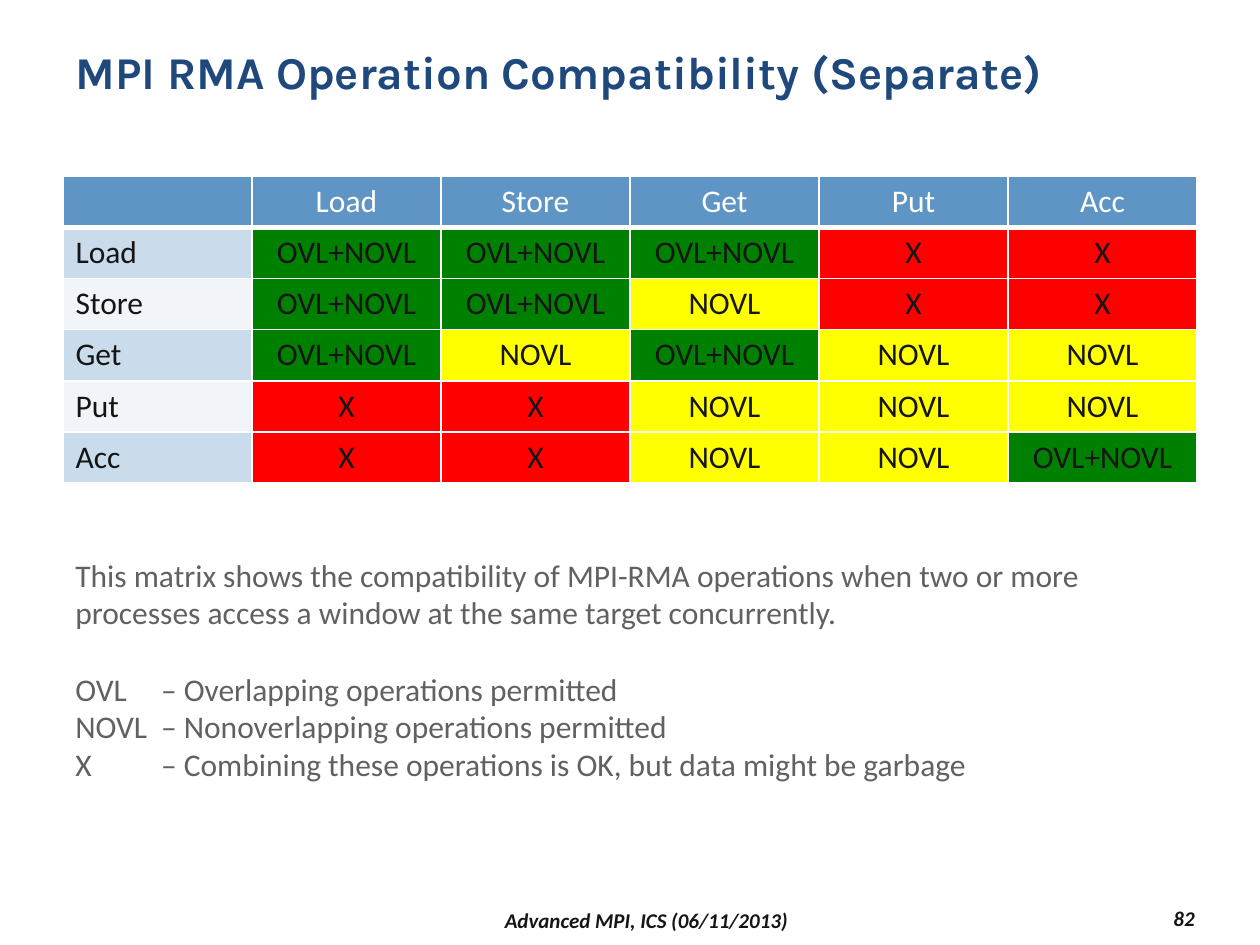
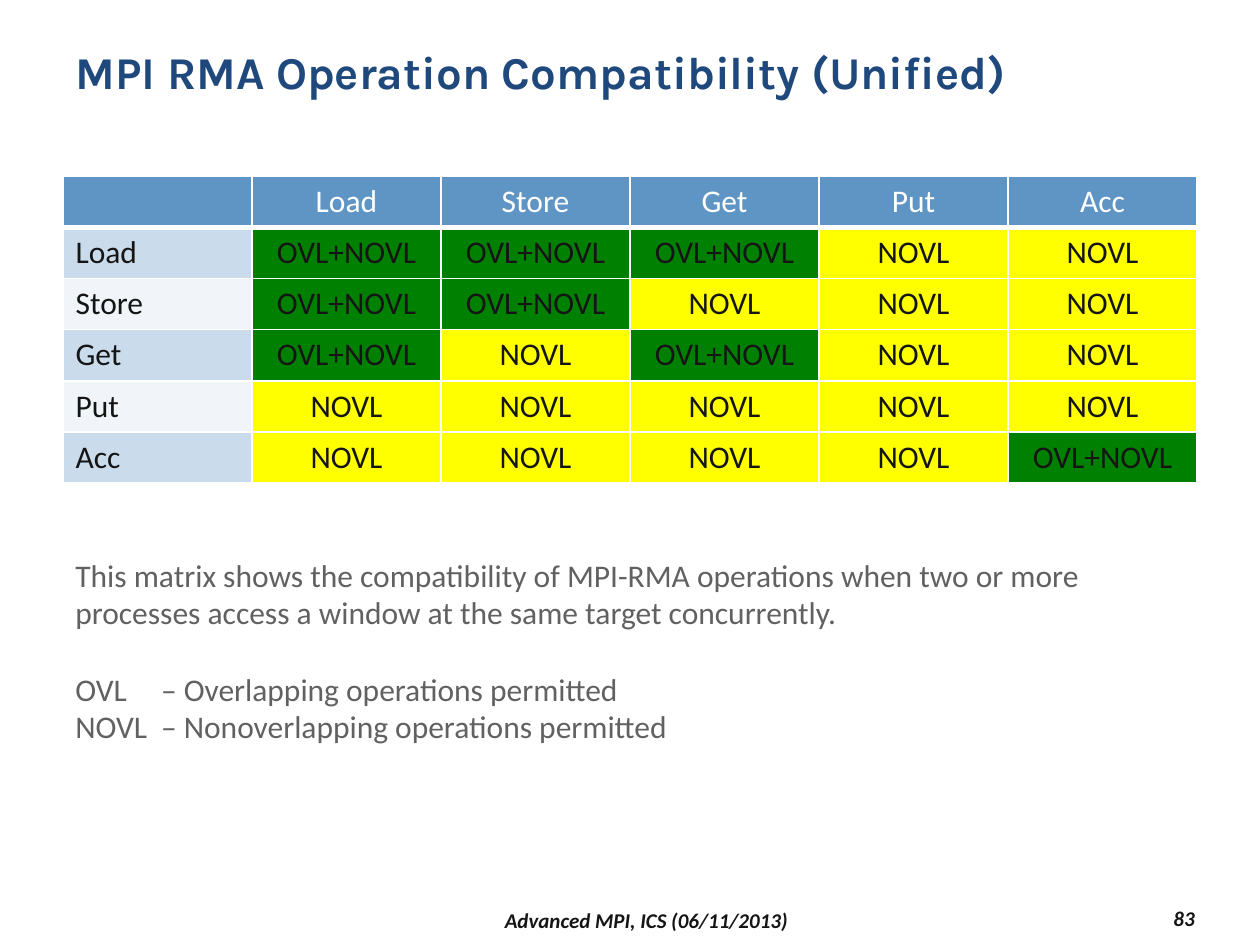
"""Build two slides on the compatibility of MPI RMA operations."""
import pptx
import pptx.util
import pptx.dml.color
import pptx.enum.text
import pptx.oxml
import pptx.oxml.ns

Inches = pptx.util.Inches
Pt = pptx.util.Pt
RGBColor = pptx.dml.color.RGBColor
Align = pptx.enum.text.PP_ALIGN
Anchor = pptx.enum.text.MSO_ANCHOR

NAVY = RGBColor(0x1F, 0x49, 0x7D)
HEADER_BLUE = RGBColor(0x5F, 0x95, 0xC4)
PALE_BLUE = RGBColor(0xCA, 0xDC, 0xEB)
PALE_GRAY = RGBColor(0xF1, 0xF5, 0xF9)
WHITE = RGBColor(0xFF, 0xFF, 0xFF)
INK = RGBColor(0x15, 0x15, 0x15)
GRAY = RGBColor(0x61, 0x61, 0x61)
VERDICT_FILLS = {
    "OVL+NOVL": RGBColor(0x00, 0x80, 0x00),
    "NOVL": RGBColor(0xFF, 0xFF, 0x00),
    "X": RGBColor(0xFF, 0x00, 0x00),
}

OPERATIONS = ["Load", "Store", "Get", "Put", "Acc"]
VERDICTS = {"O": "OVL+NOVL", "N": "NOVL", "X": "X"}
INTRO = ("This matrix shows the compatibility of MPI-RMA operations when two or more "
         "processes access a window at the same target concurrently.")
LEGEND = [
    "OVL \t– Overlapping operations permitted",
    "NOVL \t– Nonoverlapping operations permitted",
    "X \t– Combining these operations is OK, but data might be garbage",
]
FOOTER = "Advanced MPI, ICS (06/11/2013)"
SLIDES = [
    ("Separate", ["OOOXX", "OONXX", "ONONN", "XXNNN", "XXNNO"], LEGEND, 82),
    ("Unified", ["OOONN", "OONNN", "ONONN", "NNNNN", "NNNNO"], LEGEND[:2], 83),
]


def style_text(para, size, color, align=Align.LEFT, name="Calibri", bold=False, italic=False):
    para.alignment = align
    font = para.font
    font.name, font.size, font.bold, font.italic = name, Pt(size), bold, italic
    font.color.rgb = color


def style_cell(cell, text, fill, color, align, bottom):
    cell_properties = cell._tc.get_or_add_tcPr()
    for side, width in (("L", 1), ("R", 1), ("T", 1), ("B", bottom)):
        cell_properties.append(pptx.oxml.parse_xml(
            f'<a:ln{side} {pptx.oxml.ns.nsdecls("a")} w="{Pt(width)}">'
            f'<a:solidFill><a:srgbClr val="{WHITE}"/></a:solidFill></a:ln{side}>'))
    cell.fill.solid()
    cell.fill.fore_color.rgb = fill
    cell.text = text
    style_text(cell.text_frame.paragraphs[0], 18, color, align)


deck = pptx.Presentation()
deck.slide_width, deck.slide_height = Inches(10), Inches(7.5)

for model, matrix, legend, number in SLIDES:
    page = deck.slides.add_slide(deck.slide_layouts[5])

    title = page.shapes.title
    title.left, title.top, title.width, title.height = map(Inches, (0.5, 0.3, 9, 0.87))
    title.text_frame.text = f"MPI RMA Operation Compatibility ({model})"
    title.text_frame.vertical_anchor = Anchor.TOP
    title.text_frame.auto_size = pptx.enum.text.MSO_AUTO_SIZE.NONE
    style_text(title.text_frame.paragraphs[0], 26, NAVY, name="Karla", bold=True)

    size = len(OPERATIONS) + 1
    table = page.shapes.add_table(
        size, size, Inches(0.5), Inches(1.4), Inches(9), Inches(2.43)).table
    for column, heading in enumerate([""] + OPERATIONS):
        style_cell(table.cell(0, column), heading, HEADER_BLUE, WHITE, Align.CENTER, 3)
    for row, (operation, codes) in enumerate(zip(OPERATIONS, matrix), 1):
        band = PALE_BLUE if row % 2 else PALE_GRAY
        style_cell(table.cell(row, 0), operation, band, INK, Align.LEFT, 1)
        for column, code in enumerate(codes, 1):
            verdict = VERDICTS[code]
            style_cell(table.cell(row, column), verdict, VERDICT_FILLS[verdict],
                       INK, Align.CENTER, 1)

    box = page.shapes.add_textbox(
        Inches(0.5), Inches(4.36), Inches(9), Inches(1.02 + 0.3 * len(legend)))
    box.text_frame.word_wrap = True
    box.text_frame.text = "\n".join([INTRO] + legend)
    for para in box.text_frame.paragraphs:
        style_text(para, 18, GRAY)
    entries = box.text_frame.paragraphs[1:]
    entries[0].space_before = Pt(22)
    for para in entries:
        para._p.get_or_add_pPr().append(pptx.oxml.parse_xml(
            f'<a:tabLst {pptx.oxml.ns.nsdecls("a")}>'
            f'<a:tab pos="{Inches(0.68)}" algn="l"/></a:tabLst>'))
        properties = para._p.pPr
        properties.append(properties.find(pptx.oxml.ns.qn("a:defRPr")))

    for text, left, top, width, align in (
            (FOOTER, 2.17, 7.17, 5.92, Align.CENTER),
            (str(number), 8.5, 7.15, 1.08, Align.RIGHT)):
        box = page.shapes.add_textbox(Inches(left), Inches(top), Inches(width), Inches(0.27))
        box.text_frame.word_wrap = True
        box.text_frame.vertical_anchor = Anchor.MIDDLE
        box.text_frame.text = text
        style_text(box.text_frame.paragraphs[0], 12, INK, align, bold=True, italic=True)

deck.save("out.pptx")
